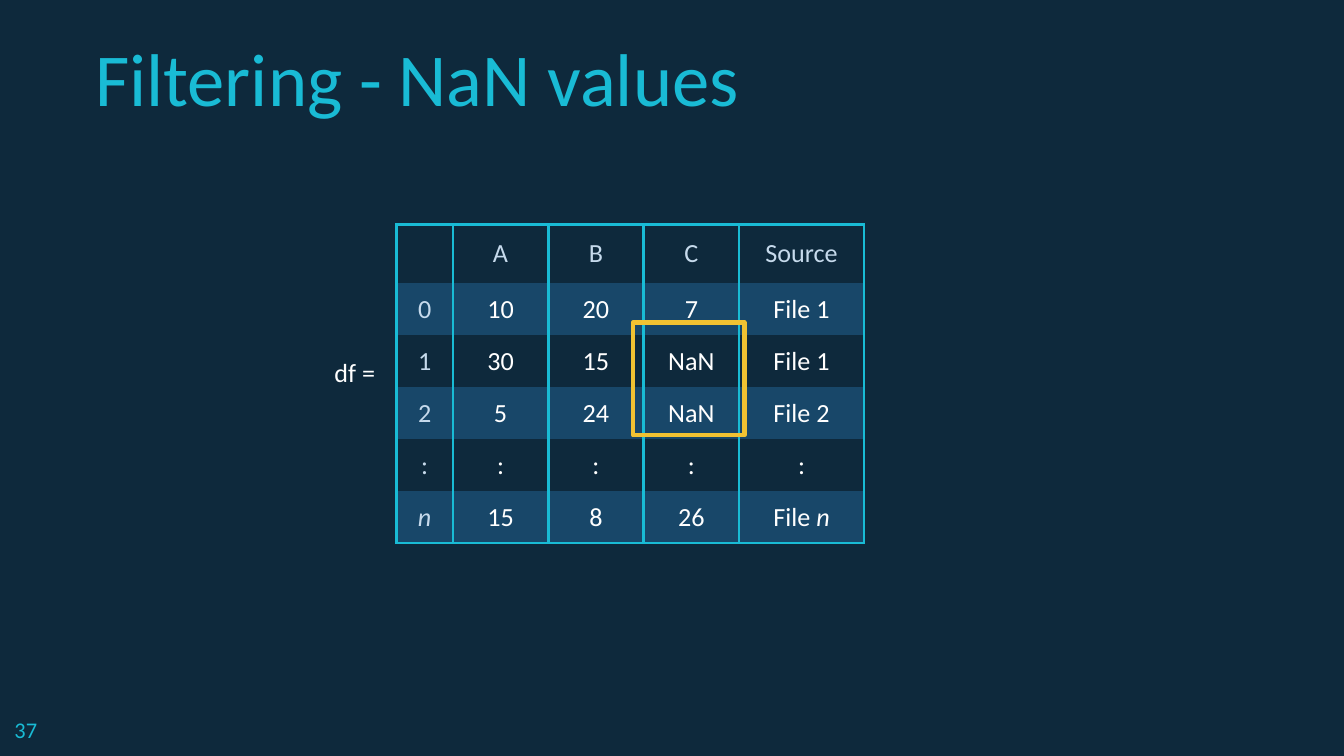
from lxml.etree import SubElement
from pptx import Presentation
from pptx.dml.color import RGBColor
from pptx.enum.shapes import MSO_SHAPE as Shape
from pptx.enum.text import MSO_ANCHOR as Anchor, PP_ALIGN as Align
from pptx.oxml.ns import qn
from pptx.util import Inches, Pt

COLORS = {
    "navy": "0E293C",
    "band": "184769",
    "cyan": "19BBD5",
    "pale": "C6DAEC",
    "white": "FFFFFF",
    "yellow": "F1C232",
}
COLUMN_WIDTHS = [0.42, 0.71, 0.71, 0.71, 0.93]
ROW_HEIGHT = 0.3
ROWS = [
    ["", "A", "B", "C", "Source"],
    ["0", "10", "20", "7", "File 1"],
    ["1", "30", "15", "NaN", "File 1"],
    ["2", "5", "24", "NaN", "File 2"],
    [":", ":", ":", ":", ":"],
    ["*n*", "15", "8", "26", "File *n*"],
]


def rgb(name):
    return RGBColor.from_string(COLORS[name])


def write(frame, text, size=14, color="white", align=Align.LEFT):
    paragraph = frame.paragraphs[0]
    paragraph.alignment = align
    for index, part in enumerate(text.split("*")):
        if part:
            run = paragraph.add_run()
            run.text = part
            run.font.name = "Calibri"
            run.font.size = Pt(size)
            run.font.italic = index % 2 == 1
            run.font.color.rgb = rgb(color)


def add_text(slide, box, text, anchor=Anchor.TOP, **style):
    frame = slide.shapes.add_textbox(*map(Inches, box)).text_frame
    frame.word_wrap = True
    frame.vertical_anchor = anchor
    frame.margin_left = frame.margin_right = Inches(0.1)
    frame.margin_top = frame.margin_bottom = Inches(0.1)
    write(frame, text, **style)


def set_borders(cell, visible):
    properties = cell._tc.get_or_add_tcPr()
    for side in "LRTB":
        line = SubElement(properties, qn(f"a:ln{side}"), w=str(Pt(1.5)))
        if side in visible:
            fill = SubElement(line, qn("a:solidFill"))
            SubElement(fill, qn("a:srgbClr"), val=COLORS["cyan"])
        else:
            SubElement(line, qn("a:noFill"))


def add_data_table(slide, left, top):
    width, height = sum(COLUMN_WIDTHS), ROW_HEIGHT * len(ROWS)
    table = slide.shapes.add_table(
        len(ROWS), len(COLUMN_WIDTHS), *map(Inches, (left, top, width, height))
    ).table
    table.first_row = table.horz_banding = False
    for column, column_width in zip(table.columns, COLUMN_WIDTHS):
        column.width = Inches(column_width)
    last = len(ROWS) - 1
    for r, values in enumerate(ROWS):
        for c, value in enumerate(values):
            cell = table.cell(r, c)
            cell.vertical_anchor = Anchor.MIDDLE
            cell.margin_left = cell.margin_right = Inches(0.1)
            cell.margin_top = cell.margin_bottom = Pt(5.5 if r else 5)
            set_borders(cell, "LR" + "T" * (r == 0) + "B" * (r == last))
            cell.fill.solid()
            cell.fill.fore_color.rgb = rgb("band" if r % 2 else "navy")
            color = "pale" if r == 0 or c == 0 else "white"
            write(cell.text_frame, value, color=color, align=Align.CENTER)


def add_highlight(slide, box):
    highlight = slide.shapes.add_shape(Shape.RECTANGLE, *map(Inches, box))
    highlight.shadow.inherit = False
    highlight.fill.background()
    highlight.line.color.rgb = rgb("yellow")
    highlight.line.width = Pt(2.25)
    SubElement(highlight.line._get_or_add_ln(), qn("a:round"))


def add_data_frame(slide, left, top):
    add_data_table(slide, left + 0.56, top)
    add_text(slide, (left, top + 0.88, 1.64, 0.89), "df =")
    add_highlight(slide, (left + 2.32, top + 0.73, 0.83, 0.84))


def add_heading(slide, box, text):
    add_text(slide, box, text, anchor=Anchor.BOTTOM, size=40, color="cyan")


def add_page_number(slide, box, number):
    add_text(slide, box, number, size=12, color="cyan")


def main():
    deck = Presentation()
    deck.slide_width = Inches(10)
    deck.slide_height = deck.slide_width * 9 // 16
    slide = deck.slides.add_slide(deck.slide_layouts[6])
    slide.background.fill.solid()
    slide.background.fill.fore_color.rgb = rgb("navy")
    add_page_number(slide, (0.01, 5.23, 0.6, 0.39), "37")
    add_heading(slide, (0.61, 0.29, 8.71, 0.71), "Filtering - NaN values")
    add_data_frame(slide, 2.39, 1.67)
    deck.save("out.pptx")


if __name__ == "__main__":
    main()
